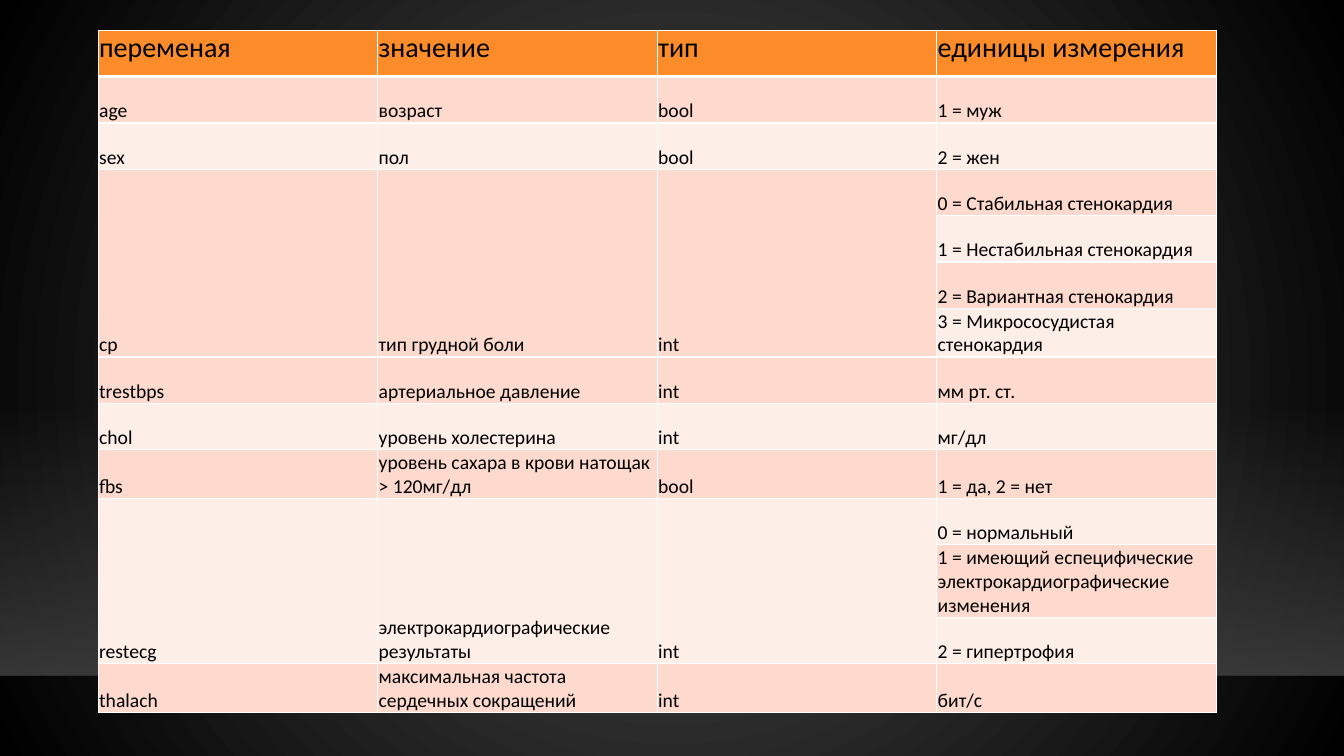
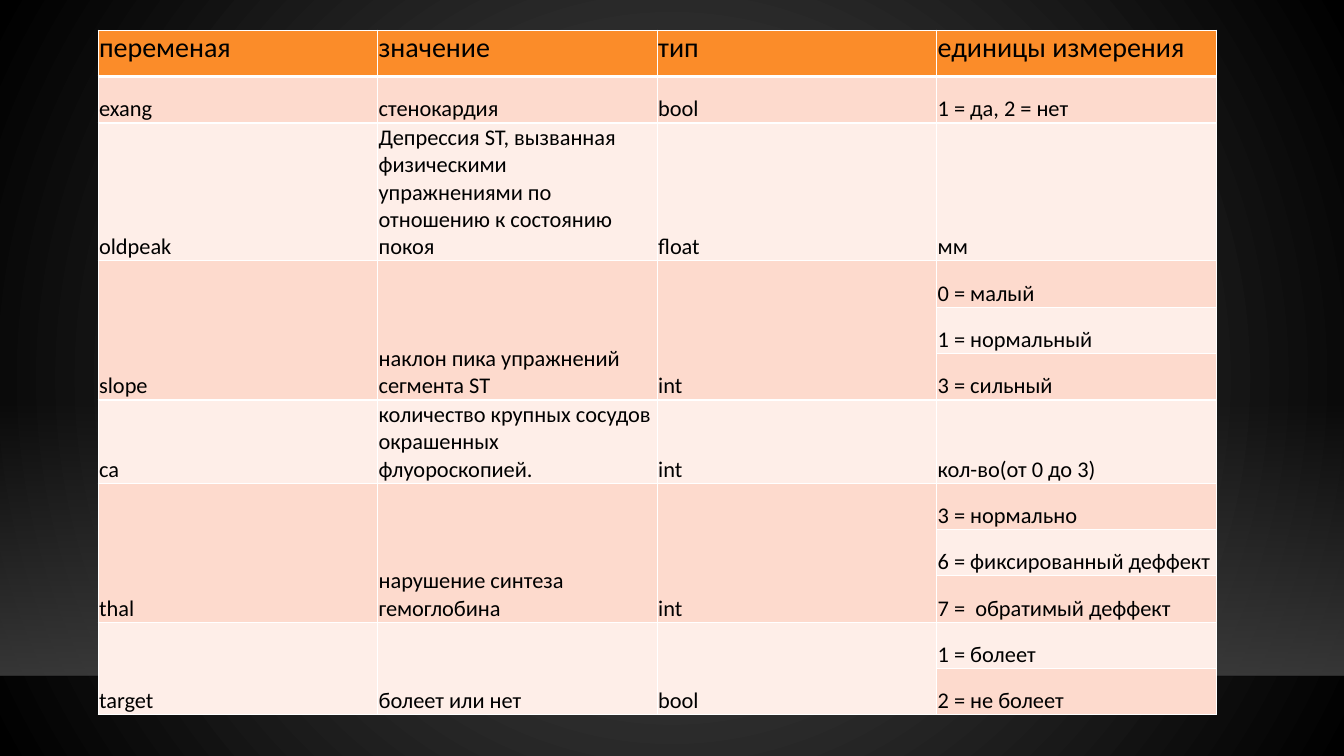
from dataclasses import dataclass

from lxml import etree
from pptx import Presentation
from pptx import util as u
from pptx.dml.color import RGBColor
from pptx.enum import shapes, text
from pptx.oxml.ns import qn

WIDTH, HEIGHT = u.Inches(13.33), u.Inches(7.5)
FONT = "Calibri"
INK, WHITE, ORANGE = "000000", "FFFFFF", "FB8C29"
STRIPES = ("FDDACD", "FEEEE8")
GLOW, BAND, FLOOR_LINE = "505050", "454545", "000001"
HEADERS = ("переменая", "значение", "тип", "единицы измерения")

# Shared measures: shares of the slide, table rows in inches
BAND_TOP, FLOOR = 0.528, 0.894
TABLE_LEFT, TABLE_TOP, TABLE_WIDTH = 0.073, 0.04, 0.832
ROW_HEIGHT, INSET = u.Inches(0.46), u.Inches(0.01)
HEADER_SIZE = 20


@dataclass(frozen=True)
class Variable:
    name: str
    meaning: str
    kind: str
    units: tuple[str, ...]


@dataclass(frozen=True)
class Page:
    size: int
    variables: tuple[Variable, ...]


PAGES = (
    Page(14, (
        Variable("age", "возраст", "bool", ("1 = муж",)),
        Variable("sex", "пол", "bool", ("2 = жен",)),
        Variable("cp", "тип грудной боли", "int", (
            "0 = Стабильная стенокардия",
            "1 = Нестабильная стенокардия",
            "2 = Вариантная стенокардия",
            "3 = Микрососудистая стенокардия")),
        Variable("trestbps", "артериальное давление", "int", ("мм рт. ст.",)),
        Variable("chol", "уровень холестерина", "int", ("мг/дл",)),
        Variable("fbs", "уровень сахара в крови натощак > 120мг/дл", "bool",
                 ("1 = да, 2 = нет",)),
        Variable("restecg", "электрокардиографические результаты", "int", (
            "0 = нормальный",
            "1 = имеющий еспецифические электрокардиографические изменения",
            "2 = гипертрофия")),
        Variable("thalach", "максимальная частота сердечных сокращений", "int",
                 ("бит/c",)),
    )),
    Page(16, (
        Variable("exang", "стенокардия", "bool", ("1 = да, 2 = нет",)),
        Variable("oldpeak", "Депрессия ST, вызванная физическими упражнениями "
                 "по отношению к состоянию покоя", "float", ("мм",)),
        Variable("slope", "наклон пика упражнений сегмента ST", "int",
                 ("0 = малый", "1 = нормальный", "3 = сильный")),
        Variable("ca", "количество крупных сосудов окрашенных флуороскопией.",
                 "int", ("кол-во(от 0 до 3)",)),
        Variable("thal", "нарушение синтеза гемоглобина", "int",
                 ("3 = нормально", "6 = фиксированный деффект",
                  "7 =  обратимый деффект")),
        Variable("target", "болеет или нет", "bool",
                 ("1 = болеет", "2 = не болеет")),
    )),
)


def rgb(value: str) -> RGBColor:
    return RGBColor.from_string(value)


def x(share: float) -> int:
    return round(WIDTH * share)


def y(share: float) -> int:
    return round(HEIGHT * share)


def set_alpha(color, percent: int) -> None:
    etree.SubElement(color, qn("a:alpha"), val=str(percent * 1000))


def set_gradient(fill, start: str, end: str) -> None:
    fill.gradient()
    for stop, position, color in zip(fill.gradient_stops, (0, 1), (start, end)):
        stop.position = position
        stop.color.rgb = rgb(color)


def set_background(master) -> None:
    """Radial glow, from the centre of the slide outwards."""
    set_gradient(master.background.fill, GLOW, INK)
    gradient = master.element.find(".//" + qn("a:gradFill"))
    gradient.remove(gradient.find(qn("a:lin")))
    circle = etree.SubElement(gradient, qn("a:path"), path="circle")
    etree.SubElement(circle, qn("a:fillToRect"),
                     {side: "50000" for side in "ltrb"})


def add_floor(s) -> None:
    """Band that fades in downwards and ends in a thin line."""
    band = s.shapes.add_shape(shapes.MSO_SHAPE.RECTANGLE, 0, y(BAND_TOP),
                              WIDTH, y(FLOOR - BAND_TOP))
    band.shadow.inherit = False
    band.line.fill.background()
    set_gradient(band.fill, BAND, BAND)
    band.fill.gradient_angle = 270
    for color, percent in zip(band.element.spPr.iter(qn("a:srgbClr")), (0, 80)):
        set_alpha(color, percent)

    line = s.shapes.add_connector(shapes.MSO_CONNECTOR.STRAIGHT,
                                  0, y(FLOOR), WIDTH, y(FLOOR))
    line.line.width = u.Pt(1)
    line.line.color.rgb = rgb(FLOOR_LINE)
    props = line.element.spPr
    set_alpha(props.find(".//" + qn("a:srgbClr")), 20)
    etree.SubElement(props, qn("a:effectLst"))


def set_borders(cell, top: int, bottom: int) -> None:
    props = cell._tc.get_or_add_tcPr()
    for side, width in {"L": 1, "R": 1, "T": top, "B": bottom}.items():
        ln = etree.SubElement(props, qn(f"a:ln{side}"), w=str(u.Pt(width)))
        fill = etree.SubElement(ln, qn("a:solidFill"))
        etree.SubElement(fill, qn("a:srgbClr"), val=WHITE)


def write(cell, content: str, *, size: int, anchor) -> None:
    cell.vertical_anchor = anchor
    r = cell.text_frame.paragraphs[0].add_run()
    r.text = content
    r.font.name, r.font.size, r.font.bold = FONT, u.Pt(size), False
    r.font.color.rgb = rgb(INK)


def style_cells(table) -> None:
    """Orange header over rows in two alternating tints."""
    for i, row in enumerate(table.rows):
        for cell in row.cells:
            set_borders(cell, top=3 if i == 1 else 1, bottom=3 if i == 0 else 1)
            cell.fill.solid()
            cell.fill.fore_color.rgb = rgb(STRIPES[(i - 1) % 2] if i else ORANGE)
            cell.margin_left = cell.margin_right = cell.margin_top = INSET
            cell.margin_bottom = 0


def add_variables(s, page: Page) -> None:
    count = 1 + sum(len(v.units) for v in page.variables)
    table = s.shapes.add_table(count, len(HEADERS), x(TABLE_LEFT), y(TABLE_TOP),
                               x(TABLE_WIDTH), ROW_HEIGHT * count).table
    style_cells(table)
    for column, header in enumerate(HEADERS):
        write(table.cell(0, column), header, size=HEADER_SIZE,
              anchor=text.MSO_ANCHOR.TOP)

    # Each variable spans as many rows as it has units
    body = {"size": page.size, "anchor": text.MSO_ANCHOR.BOTTOM}
    row = 1
    for v in page.variables:
        last = row + len(v.units) - 1
        for column, content in enumerate((v.name, v.meaning, v.kind)):
            cell = table.cell(row, column)
            if last > row:
                cell.merge(table.cell(last, column))
            write(cell, content, **body)
        for i, unit in enumerate(v.units):
            write(table.cell(row + i, len(HEADERS) - 1), unit, **body)
        row = last + 1


def main() -> None:
    prs = Presentation()
    prs.slide_width, prs.slide_height = WIDTH, HEIGHT
    set_background(prs.slide_master)
    for page in PAGES:
        s = prs.slides.add_slide(prs.slide_layouts[6])
        add_floor(s)
        add_variables(s, page)
    prs.save("out.pptx")


if __name__ == "__main__":
    main()
